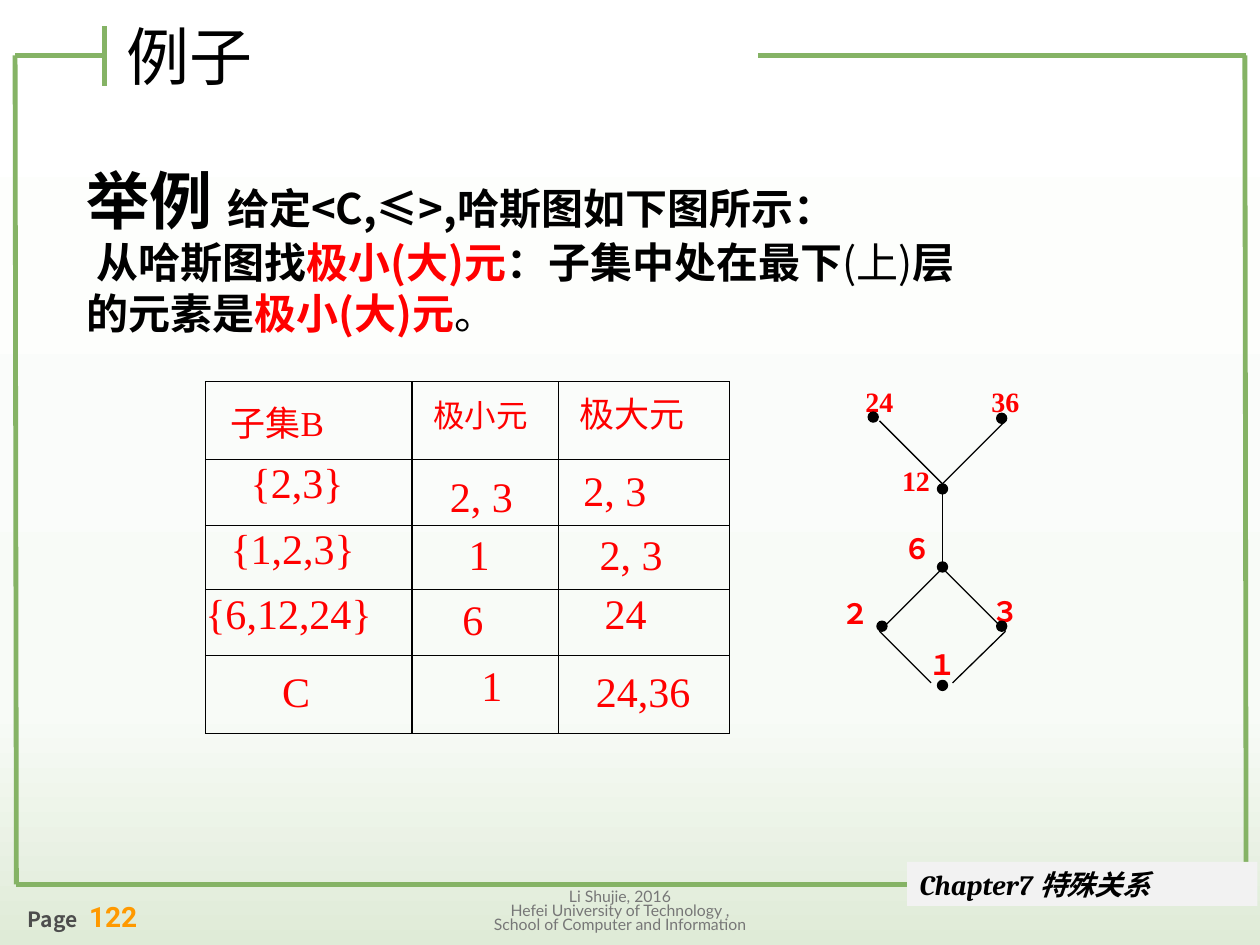
"""Build the slide on minimal and maximal elements with its table and Hasse diagram."""
from copy import deepcopy

from lxml import etree
from pptx import Presentation
from pptx.dml.color import RGBColor
from pptx.enum.shapes import MSO_CONNECTOR, MSO_SHAPE
from pptx.enum.text import MSO_ANCHOR, PP_ALIGN
from pptx.oxml.ns import qn
from pptx.util import Inches, Pt

LEFT, CENTER = PP_ALIGN.LEFT, PP_ALIGN.CENTER
TOP, MIDDLE = MSO_ANCHOR.TOP, MSO_ANCHOR.MIDDLE
STRAIGHT = MSO_CONNECTOR.STRAIGHT
OVAL, RECTANGLE = MSO_SHAPE.OVAL, MSO_SHAPE.RECTANGLE

BLACK = RGBColor(0x00, 0x00, 0x00)
RED = RGBColor(0xFF, 0x00, 0x00)
GREEN = RGBColor(0x85, 0xB3, 0x65)
GRAY = RGBColor(0x77, 0x77, 0x77)
DARK = RGBColor(0x4D, 0x4D, 0x4D)
ORANGE = RGBColor(0xFF, 0x99, 0x00)
PALE = RGBColor(0xF2, 0xF2, 0xF2)
BACKDROP = [(0, RGBColor(0xFF, 0xFF, 0xFF)), (0.75, RGBColor(0xF8, 0xFB, 0xF7)),
            (1, RGBColor(0xDF, 0xEB, 0xD7))]

SANS, SERIF = "Noto Sans CJK SC", "Times New Roman"

FRAME = [(0.12, 0.44, 0.13, 7.02), (9.88, 0.44, 9.89, 7.02), (9.89, 7.02, 0.13, 7.02),
         (9.89, 0.44, 6.02, 0.44), (0.83, 0.44, 0.12, 0.44), (0.83, 0.21, 0.83, 0.68)]

FOOTER = [[(line, "Lato", 9, GRAY, False)] for line in (
    "Li Shujie, 2016", "Hefei University of Technology ,",
    "School of Computer and Information")]
PAGE_NUMBER = [[("Page ", SANS, 12, DARK, True), (" ", "Roboto", 16, ORANGE, False),
                ("122", "Roboto", 16, ORANGE, True)]]
CHAPTER = [[("Chapter7 特殊关系", "Cambria", 16, BLACK, True)]]
TITLE = [[("例子", SANS, 36, BLACK, False)]]
INTRO = [
    [("举例 ", SANS, 36, BLACK, True), ("给定<C,≤>,哈斯图如下图所示：", SANS, 24, BLACK, True)],
    [(" 从哈斯图找", SANS, 24, BLACK, True), ("极小(大)元", SANS, 24, RED, True),
     ("：子集中处在最下", SANS, 24, BLACK, True), ("(上)", SANS, 24, BLACK, False),
     ("层", SANS, 24, BLACK, True)],
    [("的元素是", SANS, 24, BLACK, True), ("极小(大)元", SANS, 24, RED, True),
     ("。", SANS, 24, BLACK, False)],
]

COLUMN_WIDTHS = [1.64, 1.16, 1.36]
ROW_HEIGHTS = [0.62, 0.52, 0.51, 0.52, 0.62]
HEADER_SIZES = [20, 18, 20]
CELLS = [
    [("子集B", 0.2, 0.11), ("极小元", 0.17, 0.07), ("极大元", 0.17, 0.04)],
    [("{2,3}", 0.36, 0.01), ("2, 3", 0.3, 0.12), ("2, 3", 0.2, 0.07)],
    [("{1,2,3}", 0.2, 0.01), ("1", 0.45, 0.06), ("2, 3", 0.33, 0.06)],
    [("{6,12,24}", 0, 0.02), ("6", 0.4, 0.07), ("24", 0.37, 0.02)],
    [("C", 0.61, 0.12), ("1", 0.55, 0.07), ("24,36", 0.3, 0.12)],
]

EDGES = [(7.39, 5.42, 6.98, 5.01), (7.56, 5.42, 7.98, 5.01), (7.48, 3.92, 7.48, 4.51),
         (7.48, 4.51, 6.98, 5.01), (7.48, 4.51, 7.98, 5.01),
         (6.98, 3.34, 7.48, 3.84), (7.98, 3.34, 7.48, 3.84)]
NODES = [("６", (6.78, 4.17), (7.44, 4.46)), ("１", (6.98, 5.09), (7.44, 5.4)),
         ("３", (7.48, 4.67), (7.91, 4.93)), ("12", (6.77, 3.63), (7.44, 3.84)),
         ("２", (6.29, 4.68), (6.96, 4.93)), ("24", (6.48, 3), (6.89, 3.27)),
         ("36", (7.48, 3), (7.91, 3.28))]
DOT = 0.08


def write(frame, paragraphs, align=LEFT, anchor=TOP, spacing=None):
    frame.word_wrap = True
    frame.vertical_anchor = anchor
    for index, spans in enumerate(paragraphs):
        para = frame.paragraphs[0] if index == 0 else frame.add_paragraph()
        para.alignment = align
        para.line_spacing = spacing
        for text, face, size, color, bold in spans:
            span = para.add_run()
            span.text = text
            font = span.font
            font.name, font.size, font.bold = face, Pt(size), bold
            font.color.rgb = color
            if face == SANS:
                properties = span._r.get_or_add_rPr()
                etree.SubElement(properties, qn("a:ea"), typeface=face)


def add_text(page, place, paragraphs, **style):
    box = page.shapes.add_textbox(*map(Inches, place))
    write(box.text_frame, paragraphs, **style)


def add_line(page, ends, color, width):
    line = page.shapes.add_connector(STRAIGHT, *map(Inches, ends))
    line.line.color.rgb = color
    line.line.width = Pt(width)
    etree.SubElement(line._element.spPr, qn("a:effectLst"))


def add_block(page, kind, place, fill):
    block = page.shapes.add_shape(kind, *map(Inches, place))
    block.shadow.inherit = False
    block.fill.solid()
    block.fill.fore_color.rgb = fill
    block.line.fill.background()
    return block


def paint_background(page):
    fill = page.background.fill
    fill.gradient()
    fill.gradient_angle = 270
    stops = next(page.element.iter(qn("a:gsLst")))
    stops.insert(1, deepcopy(stops[0]))
    for stop, (position, color) in zip(fill.gradient_stops, BACKDROP):
        stop.position = position
        stop.color.rgb = color


def outline_cell(cell):
    properties = cell._tc.get_or_add_tcPr()
    for index, side in enumerate(("a:lnL", "a:lnR", "a:lnT", "a:lnB")):
        border = etree.Element(qn(side), w=str(Pt(0.75)))
        solid = etree.SubElement(border, qn("a:solidFill"))
        etree.SubElement(solid, qn("a:srgbClr"), val=str(BLACK))
        properties.insert(index, border)


def add_subset_table(page):
    table = page.shapes.add_table(
        len(ROW_HEIGHTS), len(COLUMN_WIDTHS), Inches(1.63), Inches(3.03),
        Inches(sum(COLUMN_WIDTHS)), Inches(sum(ROW_HEIGHTS))).table
    table.first_row = table.horz_banding = False
    for column, width in zip(table.columns, COLUMN_WIDTHS):
        column.width = Inches(width)
    for row_index, (height, entries) in enumerate(zip(ROW_HEIGHTS, CELLS)):
        table.rows[row_index].height = Inches(height)
        for column_index, (text, left, top) in enumerate(entries):
            cell = table.cell(row_index, column_index)
            cell.margin_left, cell.margin_top = Inches(left), Inches(top)
            cell.margin_right = cell.margin_bottom = 0
            cell.fill.background()
            outline_cell(cell)
            size = HEADER_SIZES[column_index] if row_index == 0 else 24
            write(cell.text_frame, [[(text, SERIF, size, RED, False)]])


def add_hasse_diagram(page):
    for label, corner, _ in NODES:
        add_text(page, (*corner, 1, 0.37), [[(label, SERIF, 16, RED, True)]],
                 align=CENTER, anchor=MIDDLE)
    for edge in EDGES:
        add_line(page, edge, BLACK, 0.75)
    for _, _, corner in NODES:
        dot = add_block(page, OVAL, (*corner, DOT, DOT), BLACK)
        dot.line.color.rgb = BLACK
        dot.line.width = Pt(0.75)


def main():
    deck = Presentation()
    deck.slide_width, deck.slide_height = Inches(10), Inches(7.5)
    page = deck.slides.add_slide(deck.slide_layouts[5])
    paint_background(page)
    add_text(page, (3.5, 7.02, 2.84, 0.44), FOOTER, align=CENTER, spacing=0.75)
    for ends in FRAME:
        add_line(page, ends, GREEN, 2.75)
    banner = add_block(page, RECTANGLE, (7.2, 6.84, 2.78, 0.35), PALE)
    write(banner.text_frame, CHAPTER, anchor=MIDDLE)
    banner.text_frame.paragraphs[0].runs[0].font.italic = True
    add_text(page, (0.12, 7.09, 1.42, 0.37), PAGE_NUMBER)
    title = page.shapes.title
    title.left, title.top, title.width, title.height = map(Inches, (0.9, 0.21, 4.96, 0.46))
    write(title.text_frame, TITLE, anchor=MIDDLE)
    add_text(page, (0.59, 1.23, 7.95, 1.51), INTRO)
    add_subset_table(page)
    add_hasse_diagram(page)
    deck.save("out.pptx")


if __name__ == "__main__":
    main()
